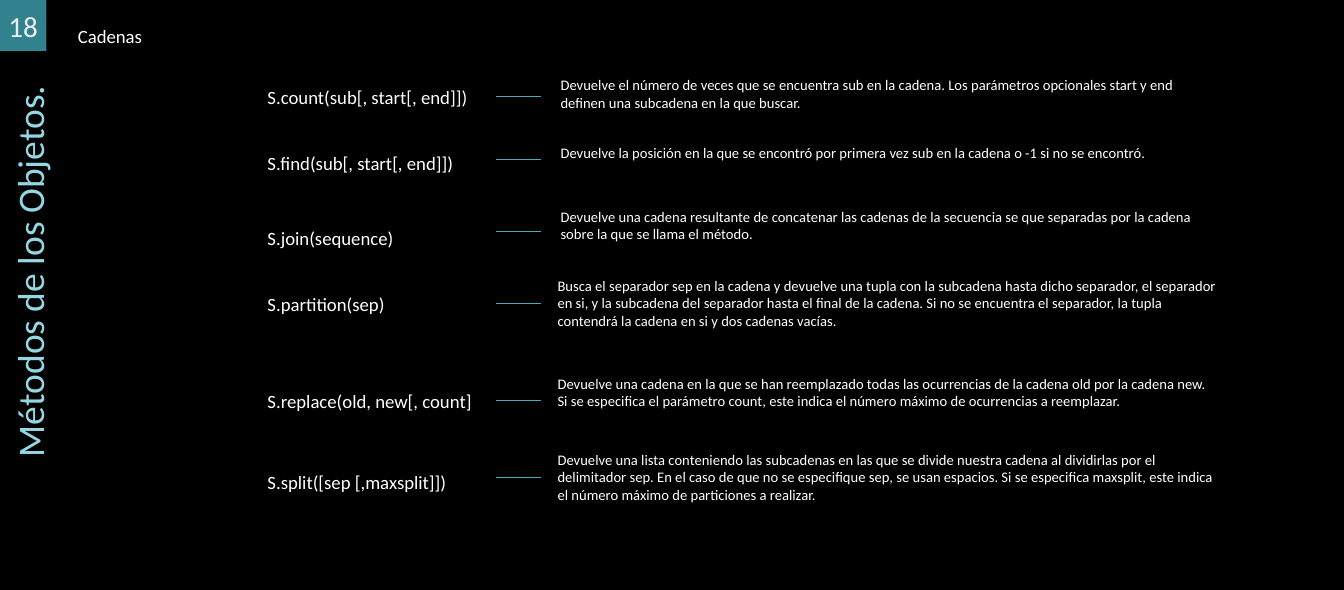
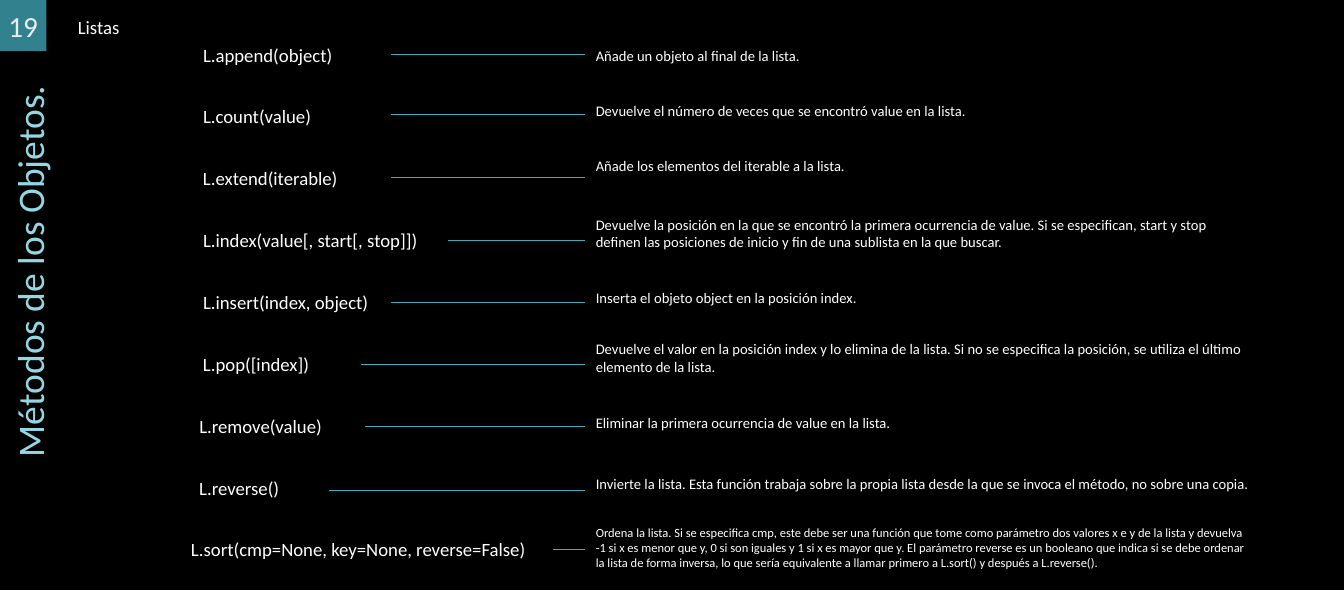
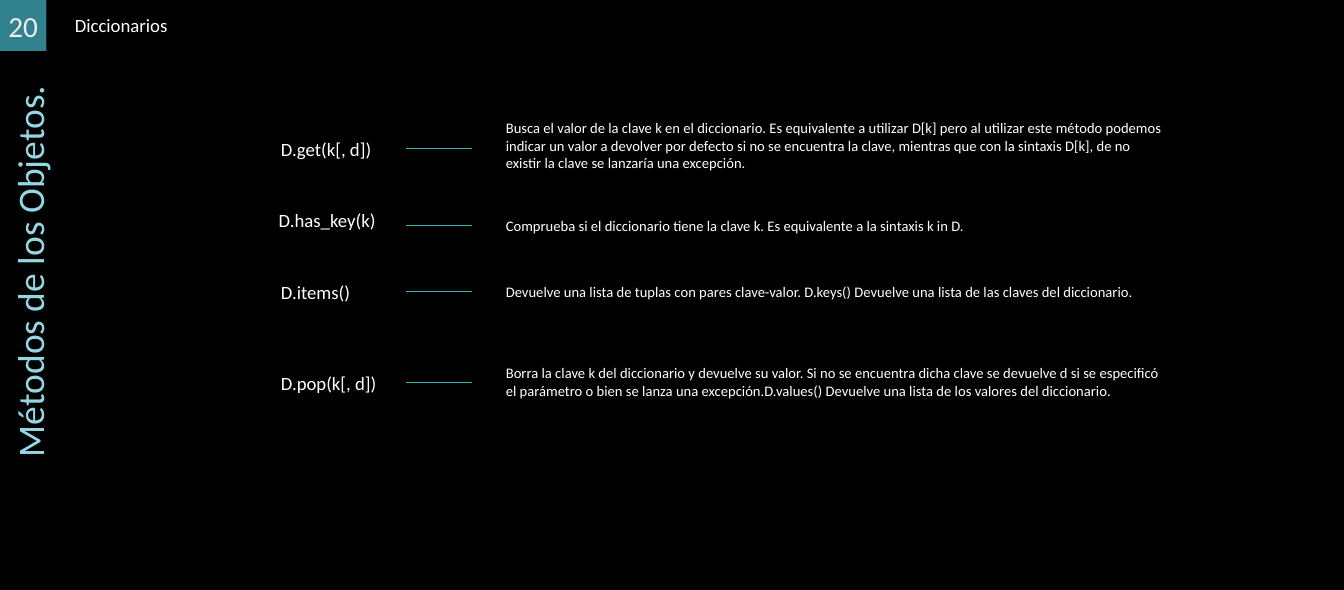
from lxml import etree
from pptx import Presentation
from pptx import util as u
from pptx.dml.color import RGBColor
from pptx.enum import shapes, text
from pptx.oxml import ns

WIDTH, HEIGHT = 17.93, 7.87
FONT = "Calibri"
COLOURS = {"night": "000000", "badge": "31828E", "number": "EDEDED",
           "title": "94D7E4", "text": "FFFFFF", "rule": "41AEBD"}
TITLE = "Métodos de los Objetos."
FIRST_NUMBER = 18
BADGE = (0.62, 0.68)
TITLE_SIZE = (7, 0.86)
TITLE_CENTRE = (0.47, 3.62)
TEXT_WIDTH = 9

# Lengths are inches. Each entry of "columns" holds one value per method:
# signature left, signature width, rule left, description left.
# Each method: signature, rule height, description top, lines, size, description.
SECTIONS = [
    {
        "heading": ("Cadenas", 0.94, 0.28),
        "tops": [1.09, 1.98, 2.97, 3.86, 5.15, 6.23],
        "rule_end": 7.22,
        "columns": ([3.47] * 6, [3.11, 3.11, 2.09, 2.54, 3.15, 2.96],
                    [6.62] * 6, [7.38] * 3 + [7.34] * 3),
        "methods": [
            ("S.count(sub[, start[, end]])", 1.28, 0.97, 2, 14,
             "Devuelve el número de veces que se encuentra sub en la cadena. Los parámetros "
             "opcionales start y end definen una subcadena en la que buscar."),
            ("S.find(sub[, start[, end]])", 2.13, 1.87, 1, 14,
             "Devuelve la posición en la que se encontró por primera vez sub en la cadena "
             "o -1 si no se encontró."),
            ("S.join(sequence)", 3.08, 2.72, 2, 14,
             "Devuelve una cadena resultante de concatenar las cadenas de la secuencia se que "
             "separadas por la cadena sobre la que se llama el método."),
            ("S.partition(sep)", 4.04, 3.64, 3, 14,
             "Busca el separador sep en la cadena y devuelve una tupla con la subcadena hasta "
             "dicho separador, el separador en si, y la subcadena del separador hasta el final "
             "de la cadena. Si no se encuentra el separador, la tupla contendrá la cadena en si "
             "y dos cadenas vacías."),
            ("S.replace(old, new[, count]", 5.34, 4.95, 2, 14,
             "Devuelve una cadena en la que se han reemplazado todas las ocurrencias de la "
             "cadena old por la cadena new. Si se especifica el parámetro count, este indica "
             "el número máximo de ocurrencias a reemplazar."),
            ("S.split([sep [,maxsplit]])", 6.37, 5.96, 3, 14,
             "Devuelve una lista conteniendo las subcadenas en las que se divide nuestra cadena "
             "al dividirlas por el delimitador sep. En el caso de que no se especifique sep, se "
             "usan espacios. Si se especifica maxsplit, este indica el número máximo de "
             "particiones a realizar."),
        ],
    },
    {
        "heading": ("Listas", 0.94, 0.16),
        "tops": [0.53 + 6.6 * row / 8 for row in range(9)],
        "rule_end": 7.8,
        "columns": ([2.61] * 6 + [2.56] * 2 + [2.45],
                    [2.19, 1.78, 2.37, 3.59, 3.02, 1.7, 2.19, 2.43, 5.16],
                    [5.22] * 3 + [5.98, 5.22, 4.81, 4.87, 4.39, 7.38],
                    [7.85] * 9),
        "methods": [
            ("L.append(object)", 0.73, 0.57, 1, 14, "Añade un objeto al final de la lista."),
            ("L.count(value)", 1.53, 1.31, 1, 14,
             "Devuelve el número de veces que se encontró value en la lista."),
            ("L.extend(iterable)", 2.37, 2.04, 1, 14,
             "Añade los elementos del iterable a la lista."),
            ("L.index(value[, start[, stop]])", 3.21, 2.83, 2, 14,
             "Devuelve la posición en la que se encontró la primera ocurrencia de value. Si se "
             "especifican, start y stop definen las posiciones de inicio y fin de una sublista "
             "en la que buscar."),
            ("L.insert(index, object)", 4.03, 3.8, 1, 14,
             "Inserta el objeto object en la posición index."),
            ("L.pop([index])", 4.86, 4.49, 2, 14,
             "Devuelve el valor en la posición index y lo elimina de la lista. Si no se "
             "especifica la posición, se utiliza el último elemento de la lista."),
            ("L.remove(value)", 5.68, 5.47, 1, 14,
             "Eliminar la primera ocurrencia de value en la lista."),
            ("L.reverse()", 6.54, 6.29, 1, 14,
             "Invierte la lista. Esta función trabaja sobre la propia lista desde la que se "
             "invoca el método, no sobre una copia."),
            ("L.sort(cmp=None, key=None, reverse=False)", 7.33, 6.95, 3, 12,
             "Ordena la lista. Si se especifica cmp, este debe ser una función que tome como "
             "parámetro dos valores x e y de la lista y devuelva -1 si x es menor que y, 0 si "
             "son iguales y 1 si x es mayor que y. El parámetro reverse es un booleano que "
             "indica si se debe ordenar la lista de forma inversa, lo que sería equivalente a "
             "llamar primero a L.sort() y después a L.reverse()."),
        ],
    },
    {
        "heading": ("Diccionarios", 0.9, 0.14),
        "tops": [1.79, 2.74, 3.7, 4.91],
        "rule_end": 6.3,
        "columns": ([3.65, 3.62, 3.65, 3.65], [1.59, 1.72, 1.59, 1.59],
                    [5.41] * 4, [6.65] * 4),
        "methods": [
            ("D.get(k[, d])", 1.98, 1.54, 3, 14,
             "Busca el valor de la clave k en el diccionario. Es equivalente a utilizar D[k] "
             "pero al utilizar este método podemos indicar un valor a devolver por defecto si "
             "no se encuentra la clave, mientras que con la sintaxis D[k], de no existir la "
             "clave se lanzaría una excepción."),
            ("D.has_key(k)", 3, 2.84, 1, 14,
             "Comprueba si el diccionario tiene la clave k. Es equivalente a la sintaxis k in D."),
            ("D.items()", 3.88, 3.73, 1, 14,
             "Devuelve una lista de tuplas con pares clave-valor. D.keys() Devuelve una lista "
             "de las claves del diccionario."),
            ("D.pop(k[, d])", 5.1, 4.81, 2, 14,
             "Borra la clave k del diccionario y devuelve su valor. Si no se encuentra dicha "
             "clave se devuelve d si se especificó el parámetro o bien se lanza una "
             "excepción.D.values() Devuelve una lista de los valores del diccionario."),
        ],
    },
]


def write(shape, words, size, colour, align, anchor):
    frame = shape.text_frame
    frame.word_wrap = True
    frame.vertical_anchor = anchor
    para = frame.paragraphs[0]
    para.text = words
    para.alignment = align
    para.font.name = FONT
    para.font.size = u.Pt(size)
    para.font.color.rgb = RGBColor.from_string(COLOURS[colour])
    return frame


def add_text(page, words, left, top, width, size=18, lines=1):
    """Add a white text box as tall as its lines."""
    height = 0.1 + lines * size / 60
    box = page.shapes.add_textbox(*map(u.Inches, (left, top, width, height)))
    frame = write(box, words, size, "text", text.PP_ALIGN.LEFT, text.MSO_ANCHOR.TOP)
    frame.auto_size = text.MSO_AUTO_SIZE.SHAPE_TO_FIT_TEXT


deck = Presentation()
deck.slide_width, deck.slide_height = u.Inches(WIDTH), u.Inches(HEIGHT)
background = deck.slide_master.background.fill
background.solid()
background.fore_color.rgb = RGBColor.from_string(COLOURS["night"])
title_only = deck.slide_layouts.get_by_name("Title Only")

for number, section in enumerate(SECTIONS, FIRST_NUMBER):
    page = deck.slides.add_slide(title_only)

    badge = page.shapes.add_shape(shapes.MSO_SHAPE.RECTANGLE, 0, 0, *map(u.Inches, BADGE))
    badge.shadow.inherit = False
    badge.fill.solid()
    badge.fill.fore_color.rgb = RGBColor.from_string(COLOURS["badge"])
    badge.line.fill.background()
    write(badge, str(number), 28, "number", text.PP_ALIGN.CENTER, text.MSO_ANCHOR.MIDDLE)

    title = page.shapes.title
    title.width, title.height = map(u.Inches, TITLE_SIZE)
    title.left, title.top = (u.Inches(centre - size / 2)
                             for centre, size in zip(TITLE_CENTRE, TITLE_SIZE))
    title.rotation = 270
    frame = write(title, TITLE, 36, "title", text.PP_ALIGN.CENTER, text.MSO_ANCHOR.TOP)
    frame.auto_size = text.MSO_AUTO_SIZE.NONE

    add_text(page, *section["heading"], TEXT_WIDTH)

    for top, method, left, width, rule_left, detail_left in zip(
            section["tops"], section["methods"], *section["columns"]):
        signature, rule_top, detail_top, lines, size, detail = method
        add_text(page, signature, left, top, width)
        add_text(page, detail, detail_left, detail_top, TEXT_WIDTH, size, lines)
        rule = page.shapes.add_connector(
            shapes.MSO_CONNECTOR.STRAIGHT,
            *map(u.Inches, (rule_left, rule_top, section["rule_end"], rule_top)))
        rule.line.color.rgb = RGBColor.from_string(COLOURS["rule"])
        rule.line.width = u.Pt(0.5)
        etree.SubElement(rule.element.spPr, ns.qn("a:effectLst"))

deck.save("out.pptx")
